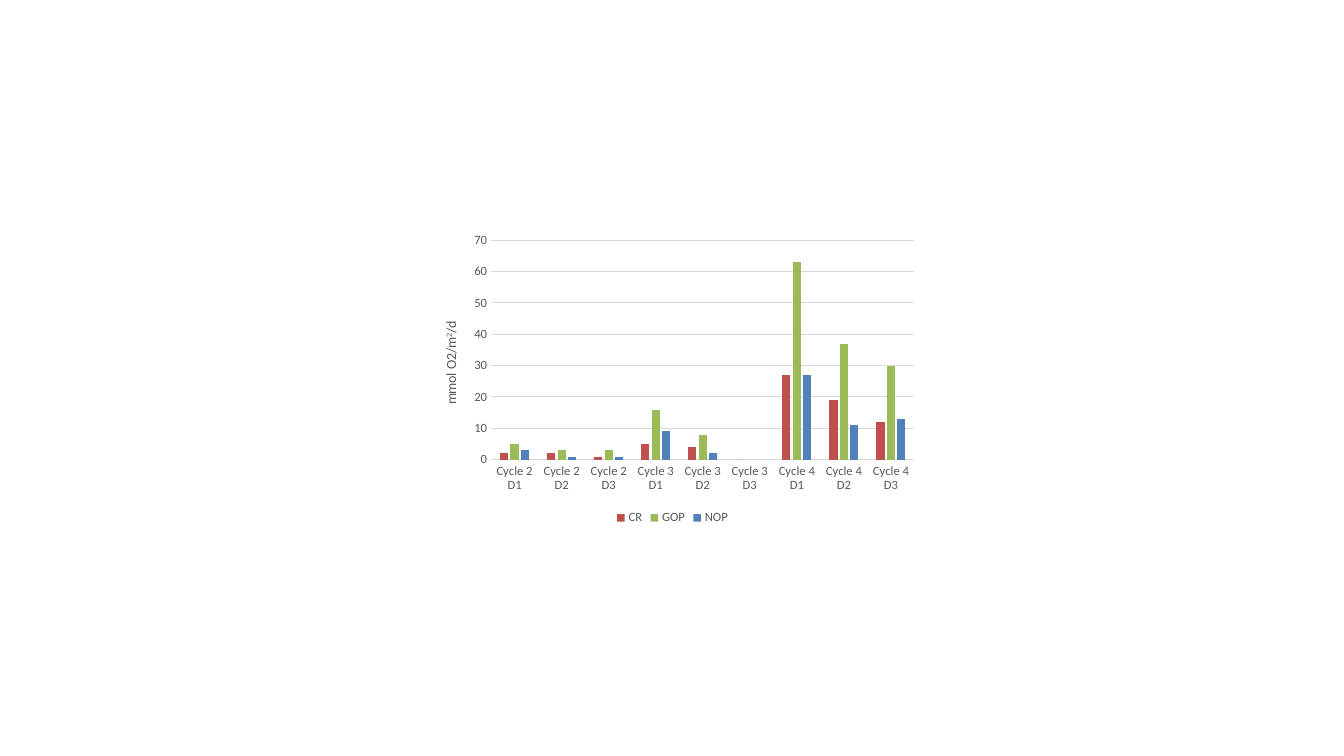
"""Build a slide with a clustered column chart of oxygen production by cycle."""
from dataclasses import dataclass
from typing import Any

from pptx import Presentation
from pptx.chart.chart import Chart
from pptx.chart.data import CategoryChartData
from pptx.dml.color import RGBColor
from pptx.enum.chart import XL_CHART_TYPE, XL_LEGEND_POSITION, XL_TICK_MARK
from pptx.util import Inches, Pt

COLUMN_CLUSTERED = XL_CHART_TYPE.COLUMN_CLUSTERED
LEGEND_BOTTOM = XL_LEGEND_POSITION.BOTTOM
NO_TICK = XL_TICK_MARK.NONE


@dataclass(frozen=True)
class Theme:
    font: str = "Calibri"
    text: str = "595959"
    black: str = "000000"
    line: str = "D9D9D9"
    chart_size: float = 10
    label_size: float = 9
    line_width: float = 0.75


@dataclass(frozen=True)
class Measure:
    name: str
    color: str
    values: tuple[int | None, ...]


@dataclass(frozen=True)
class TitleRun:
    text: str
    superscript: bool = False


THEME = Theme()
CATEGORIES = [f"Cycle {cycle} D{day}" for cycle in (2, 3, 4) for day in (1, 2, 3)]
MEASURES = (
    Measure("CR", "C0504D", (2, 2, 1, 5, 4, 0, 27, 19, 12)),
    Measure("GOP", "9BBB59", (5, 3, 3, 16, 8, None, 63, 37, 30)),
    Measure("NOP", "4F81BD", (3, 1, 1, 9, 2, None, 27, 11, 13)),
)
AXIS_TITLE = (TitleRun("mmol O2/m"), TitleRun("2", True), TitleRun("/d"))


def apply_format(target: Any, values: dict[str, Any]) -> None:
    for name, value in values.items():
        setattr(target, name, value)


def style_font(font: Any, size: float, color: str = THEME.text) -> None:
    apply_format(font, {"name": THEME.font, "size": Pt(size), "bold": False})
    font.color.rgb = RGBColor.from_string(color)


def style_line(line: Any) -> None:
    line.width = Pt(THEME.line_width)
    line.color.rgb = RGBColor.from_string(THEME.line)


def style_axes(chart: Chart) -> None:
    for axis in (chart.category_axis, chart.value_axis):
        apply_format(axis, {"major_tick_mark": NO_TICK, "minor_tick_mark": NO_TICK})
        style_font(axis.tick_labels.font, THEME.label_size)
    style_line(chart.category_axis.format.line)
    value_axis = chart.value_axis
    apply_format(value_axis, {
        "minimum_scale": 0, "maximum_scale": 70, "major_unit": 10,
        "has_major_gridlines": True, "has_title": True,
    })
    value_axis.format.line.fill.background()
    style_line(value_axis.major_gridlines.format.line)


def write_axis_title(chart: Chart) -> None:
    text_frame = chart.value_axis.axis_title.text_frame
    body = text_frame._txBody.bodyPr
    body.set("rot", "-5400000")
    body.set("vert", "horz")
    paragraph = text_frame.paragraphs[0]
    for part in AXIS_TITLE:
        run = paragraph.add_run()
        run.text = part.text
        style_font(run.font, THEME.chart_size)
        if part.superscript:
            run._r.get_or_add_rPr().set("baseline", "30000")


def add_production_chart(slide: Any) -> None:
    data = CategoryChartData()
    data.categories = CATEGORIES
    for measure in MEASURES:
        data.add_series(measure.name, measure.values)
    chart = slide.shapes.add_chart(
        COLUMN_CLUSTERED, Inches(4.17), Inches(2.25), Inches(5), Inches(3), data
    ).chart
    style_font(chart.font, THEME.chart_size, THEME.black)
    apply_format(chart, {"has_title": False, "has_legend": True})
    apply_format(chart.legend, {"position": LEGEND_BOTTOM, "include_in_layout": False})
    style_font(chart.legend.font, THEME.label_size)
    plot = chart.plots[0]
    apply_format(plot, {"gap_width": 219, "overlap": -27, "vary_by_categories": False})
    for series, measure in zip(plot.series, MEASURES):
        series.format.fill.solid()
        series.format.fill.fore_color.rgb = RGBColor.from_string(measure.color)
    style_axes(chart)
    write_axis_title(chart)


def main() -> None:
    presentation = Presentation()
    apply_format(presentation, {"slide_width": Inches(13.33), "slide_height": Inches(7.5)})
    slide = presentation.slides.add_slide(presentation.slide_layouts[6])
    add_production_chart(slide)
    presentation.save("out.pptx")


if __name__ == "__main__":
    main()
